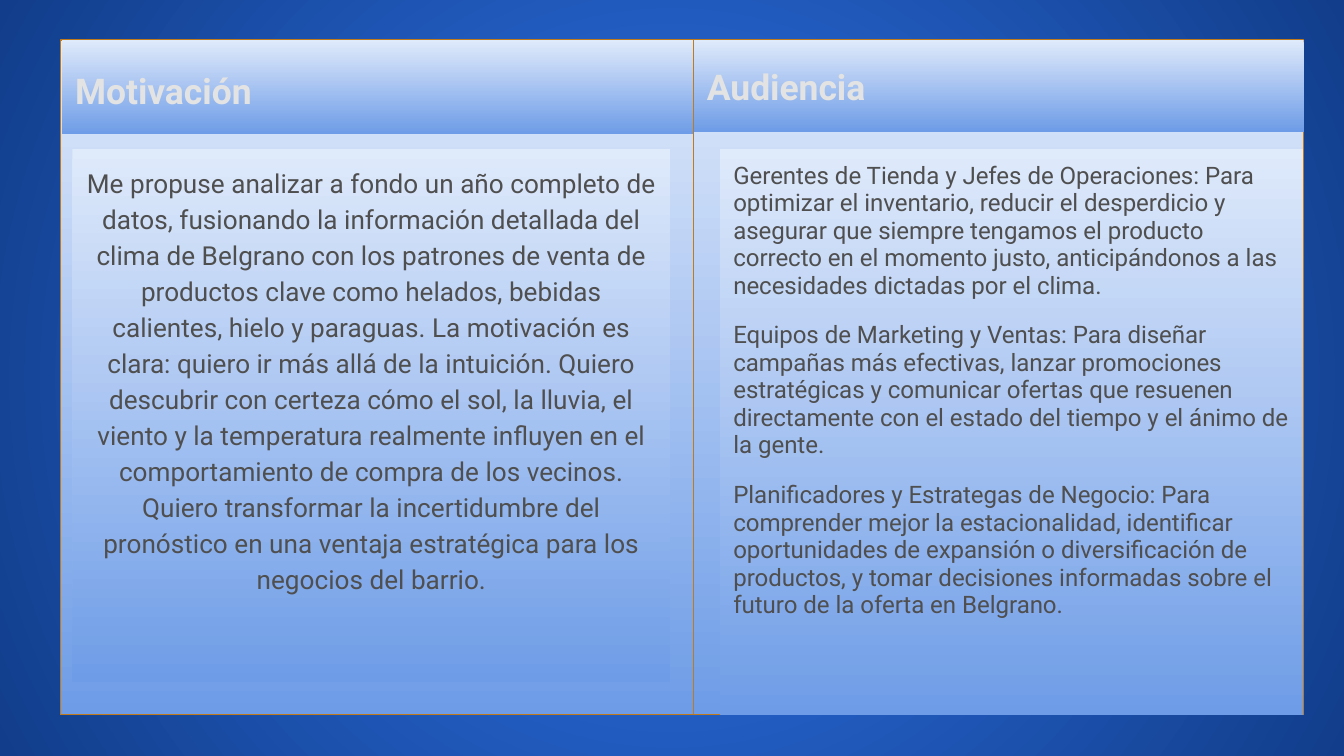
from lxml import etree
from pptx import Presentation
from pptx import util as u
from pptx.dml.color import RGBColor
from pptx.enum import shapes, text
from pptx.oxml.ns import qn

HUES = {"pale": "DFEAFB", "blue": "6E9CE7", "glow": "3176EE", "deep": "113D8A",
        "edge": "C0791B", "title": "E3E3E3", "body": "4F4F4F"}
TOP, TALL = 0.76, 12.75
LEFT, MID = text.PP_ALIGN.LEFT, text.PP_ALIGN.CENTER


def shade(fill, *hues):
    fill.gradient()
    for stop, hue in zip(fill.gradient_stops, hues):
        stop.color.rgb = RGBColor.from_string(HUES[hue])


def add_box(x, y, w, h, paras=(), size=14, hue="body", bold=False,
            align=LEFT, lines=1.0, gap=0):
    box = slide.shapes.add_shape(shapes.MSO_SHAPE.RECTANGLE,
                                 u.Cm(x), u.Cm(y), u.Cm(w), u.Cm(h))
    box.shadow.inherit = False
    shade(box.fill, "pale", "blue")
    box.fill.gradient_angle = 270
    box.line.fill.background()
    frame = box.text_frame
    frame.word_wrap = True
    frame.margin_left = frame.margin_right = u.Cm(0.25)
    frame.margin_top = frame.margin_bottom = u.Cm(0.25)
    frame.vertical_anchor = text.MSO_ANCHOR.MIDDLE if bold else text.MSO_ANCHOR.TOP
    for i, words in enumerate(paras):
        para = frame.add_paragraph() if i else frame.paragraphs[0]
        para.text = words
        para.alignment = align
        para.line_spacing = lines
        para.space_before = u.Pt(gap if i else 0)
        font = para.runs[0].font
        font.name, font.size, font.bold = "Roboto", u.Pt(size), bold
        font.color.rgb = RGBColor.from_string(HUES[hue])
    return box


deck = Presentation()
deck.slide_width, deck.slide_height = u.Cm(25.4), u.Cm(14.29)
slide = deck.slides.add_slide(deck.slide_layouts[6])

# Background: round glow from the centre
back = slide.background.fill
shade(back, "glow", "deep")
grad = slide.element.find(".//" + qn("a:gradFill"))
grad.remove(grad.find(qn("a:lin")))
ring = etree.SubElement(grad, qn("a:path"), path="circle")
etree.SubElement(ring, qn("a:fillToRect"), l="50000", t="50000", r="50000", b="50000")

# Wording of the two columns
motive = [
    "Me propuse analizar a fondo un año completo de datos, fusionando la "
    "información detallada del clima de Belgrano con los patrones de venta de "
    "productos clave como helados, bebidas calientes, hielo y paraguas. La "
    "motivación es clara: quiero ir más allá de la intuición. Quiero descubrir "
    "con certeza cómo el sol, la lluvia, el viento y la temperatura realmente "
    "influyen en el comportamiento de compra de los vecinos. Quiero transformar "
    "la incertidumbre del pronóstico en una ventaja estratégica para los "
    "negocios del barrio."]
public = [
    "Gerentes de Tienda y Jefes de Operaciones: Para optimizar el inventario, "
    "reducir el desperdicio y asegurar que siempre tengamos el producto correcto "
    "en el momento justo, anticipándonos a las necesidades dictadas por el clima.",
    "Equipos de Marketing y Ventas: Para diseñar campañas más efectivas, lanzar "
    "promociones estratégicas y comunicar ofertas que resuenen directamente con "
    "el estado del tiempo y el ánimo de la gente.",
    "Planificadores y Estrategas de Negocio: Para comprender mejor la "
    "estacionalidad, identificar oportunidades de expansión o diversificación de "
    "productos, y tomar decisiones informadas sobre el futuro de la oferta en "
    "Belgrano."]

# Columns: panel (x, w), title (x, w, h, spacing), body (x, w, h) and its style
columns = [
    ("Motivación", motive, (1.14, 11.99), (1.17, 12.01, 1.78, 1.15),
     (1.37, 11.3, 10.08), dict(size=14, align=MID, lines=1.15)),
    ("Audiencia", public, (13.11, 11.53), (13.11, 11.53, 1.73, 1.0),
     (13.61, 11.02, 10.69), dict(size=12.9, lines=0.95, gap=12)),
]
for title, paras, (px, pw), (tx, tw, th, lines), (bx, bw, bh), style in columns:
    panel = add_box(px, TOP, pw, TALL)
    panel.line.color.rgb = RGBColor.from_string(HUES["edge"])
    panel.line.width = u.Pt(0.75)
    add_box(tx, TOP, tw, th, [title], 19, "title", True, lines=lines)
    add_box(bx, 2.82, bw, bh, paras, **style)

deck.save("out.pptx")
